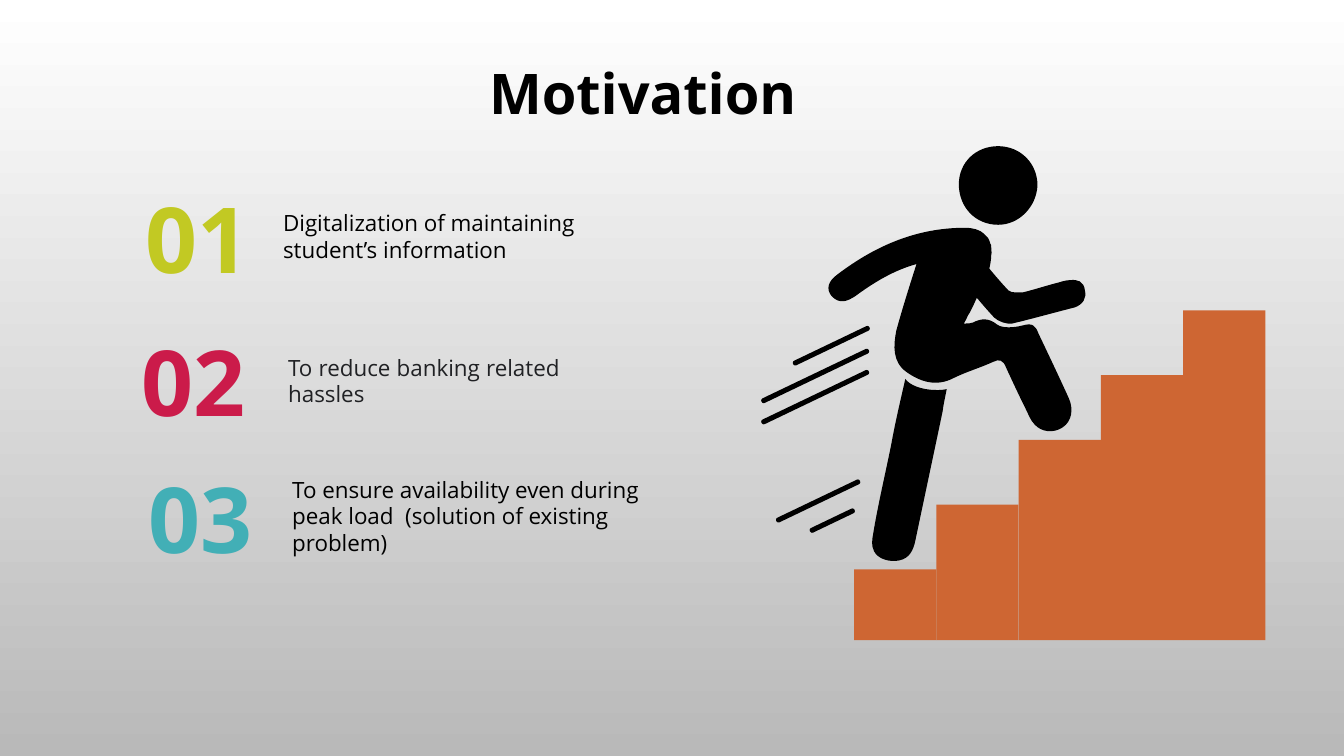
from lxml import etree
from pptx import Presentation
from pptx.dml.color import RGBColor
from pptx.enum.shapes import MSO_SHAPE
from pptx.enum.text import MSO_ANCHOR, PP_ALIGN
from pptx.oxml.ns import qn
from pptx.util import Inches, Pt

RECT, ROUND = MSO_SHAPE.RECTANGLE, MSO_SHAPE.ROUNDED_RECTANGLE
LEFT, CENTER, JUSTIFY = PP_ALIGN.LEFT, PP_ALIGN.CENTER, PP_ALIGN.JUSTIFY
TOP = MSO_ANCHOR.TOP

COLORS = {
    "black": "000000", "grey": "202124", "white": "FFFFFF", "silver": "B9B9B9",
    "stair": "CE6633", "lime": "C2C923", "red": "CB1B4A", "teal": "42AFB6",
}

ITEMS = [
    ("01", "lime", (1.31, 1.76, 1.29, 1.19),
     "Digitalization of maintaining student’s information",
     "black", LEFT, (2.71, 2.03, 3.24, 0.64)),
    ("02", "red", (1.17, 3.18, 1.5, 1.19),
     "To reduce banking related hassles",
     "grey", JUSTIFY, (2.76, 3.46, 2.89, 0.64)),
    ("03", "teal", (1.24, 4.54, 1.5, 1.19),
     "To ensure availability even during peak load  (solution of existing problem)",
     "black", LEFT, (2.8, 4.67, 4.01, 0.91)),
]

# Each outline: a start point, then Bezier segments, in hundredths of an inch.
HEAD = (190, 45), [
    (212, 45, 229, 62, 229, 84), (228, 105, 211, 123, 190, 123),
    (167, 123, 151, 105, 151, 83), (151, 61, 168, 45, 190, 45),
]
ARM = (163, 144), [
    (175, 159, 187, 174, 200, 188), (203, 191, 210, 190, 215, 190),
    (227, 187, 239, 183, 251, 180), (254, 179, 258, 178, 261, 178),
    (269, 177, 275, 179, 276, 188), (278, 196, 274, 202, 266, 205),
    (246, 210, 225, 216, 204, 221), (199, 222, 190, 219, 186, 215),
    (173, 201, 160, 185, 148, 169), (144, 165, 143, 156, 145, 153),
    (149, 148, 157, 147, 163, 145), (163, 145, 163, 144, 163, 144),
]
BODY = (260, 295), [
    (250, 273, 240, 252, 230, 231), (227, 223, 224, 220, 214, 223),
    (206, 225, 194, 226, 189, 222), (180, 215, 173, 216, 165, 220),
    (163, 221, 160, 221, 156, 221), (158, 218, 159, 215, 160, 213),
    (163, 209, 168, 197, 170, 193), (178, 180, 182, 167, 183, 156),
    (183, 155, 183, 155, 183, 155), (183, 155, 183, 155, 183, 154),
    (184, 150, 183, 147, 183, 144), (183, 143, 183, 143, 183, 143),
    (183, 143, 182, 142, 182, 141),
    (181, 137, 179, 134, 176, 132), (172, 128, 165, 126, 157, 126),
    (109, 126, 68, 144, 31, 172), (21, 179, 19, 187, 25, 194),
    (33, 202, 40, 199, 48, 194), (67, 180, 87, 168, 109, 162),
    (102, 184, 95, 206, 89, 228), (86, 243, 85, 259, 99, 269),
    (113, 279, 129, 284, 146, 275), (158, 269, 172, 265, 185, 259),
    (191, 256, 195, 257, 198, 265), (204, 278, 210, 291, 217, 305),
    (220, 311, 222, 317, 226, 321), (233, 329, 245, 330, 254, 324),
    (263, 318, 265, 306, 260, 295),
]
LEG = (129, 287), [
    (114, 287, 102, 282, 98, 276), (98, 276, 98, 276, 98, 276),
    (93, 298, 88, 319, 84, 341),
    (78, 371, 71, 400, 66, 430), (65, 436, 64, 441, 67, 447),
    (71, 455, 83, 458, 92, 456), (102, 454, 106, 446, 108, 436),
    (117, 393, 126, 351, 135, 308), (136, 300, 138, 292, 139, 286),
    (136, 287, 132, 287, 129, 287),
]
SPEED_LINES = [(0.09, 3.51, 0.92), (0.06, 2.14, 1.18), (0.06, 2.35, 1.18),
               (0.22, 2.01, 0.84), (0.23, 3.92, 0.49)]


def rgb(name):
    """Return the named colour."""
    return RGBColor.from_string(COLORS[name])


def paint(sp, color):
    """Give a shape a flat fill with no line or shadow."""
    sp.fill.solid()
    sp.fill.fore_color.rgb = rgb(color)
    sp.line.fill.background()
    sp.shadow.inherit = False


def add_block(s, kind, color, *box):
    """Add a painted preset shape."""
    sp = s.shapes.add_shape(kind, *map(Inches, box))
    paint(sp, color)
    return sp


def write(sp, text, size, color, font="Open Sans", bold=False, align=LEFT):
    """Put one formatted run into a shape."""
    tf = sp.text_frame
    tf.word_wrap = True
    tf.vertical_anchor = TOP
    p = tf.paragraphs[0]
    p.alignment = align
    r = p.add_run()
    r.text = text
    r.font.name, r.font.size, r.font.bold = font, Pt(size), bold
    r.font.color.rgb = rgb(color)


def add_title(s, *box):
    """Place the slide title."""
    sp = s.shapes.title
    sp.left, sp.top, sp.width, sp.height = map(Inches, box)
    write(sp, "Motivation", 40, "black", "Noto Sans", True)


def add_item(s, number, color, number_box, text, text_color, align, text_box):
    """Place a large number with its text beside it."""
    sp = s.shapes.add_textbox(*map(Inches, number_box))
    write(sp, number, 65, color, bold=True, align=CENTER)
    sp = s.shapes.add_textbox(*map(Inches, text_box))
    write(sp, text, 16, text_color, align=align)


def add_curve(s, left, top, start, segments):
    """Draw a closed outline of cubic Bezier segments."""
    ends = [segment[4:] for segment in segments]
    fb = s.shapes.build_freeform(*start, scale=Inches(0.01))
    fb.add_line_segments(ends, close=True)
    sp = fb.convert_to_shape(Inches(left), Inches(top))
    x0, y0 = (min(values) for values in zip(start, *ends))
    for line, segment in zip(list(sp.element.iter(qn("a:lnTo"))), segments):
        line.clear()
        curve = etree.SubElement(line.getparent(), qn("a:cubicBezTo"))
        for x, y in zip(segment[::2], segment[1::2]):
            etree.SubElement(curve, qn("a:pt"), x=str(x - x0), y=str(y - y0))
        line.getparent().replace(line, curve)
    paint(sp, "black")


def add_runner(s, left, top):
    """Draw the running figure and its speed lines."""
    for start, segments in (HEAD, ARM, BODY, LEG):
        add_curve(s, left, top, start, segments)
    for x, y, length in SPEED_LINES:
        sp = add_block(s, ROUND, "black", left + x, top + y, 0.05, length)
        sp.adjustments[0] = 0.46
        sp.rotation = 64.4


def add_stairs(s, left, top, width, height, count=5, first=0.7):
    """Draw rising steps that share one base line."""
    step = width / count
    rise = (height - first) / (count - 1)
    for i in range(count):
        h = first + i * rise
        add_block(s, RECT, "stair", left + i * step, top + height - h, step, h)


def main():
    """Build the slide and save it."""
    prs = Presentation()
    prs.slide_width, prs.slide_height = Inches(13.33), Inches(7.5)
    s = prs.slides.add_slide(prs.slide_layouts[5])
    fill = s.background.fill
    fill.gradient()
    fill.gradient_angle = 270
    for stop, color in zip(fill.gradient_stops, ("white", "silver")):
        stop.color.rgb = rgb(color)
    add_runner(s, 8, 1)
    add_stairs(s, 8.47, 3.08, 4.08, 3.27)
    for item in ITEMS:
        add_item(s, *item)
    add_title(s, 4.75, 0.53, 6.67, 0.77)
    prs.save("out.pptx")


if __name__ == "__main__":
    main()
